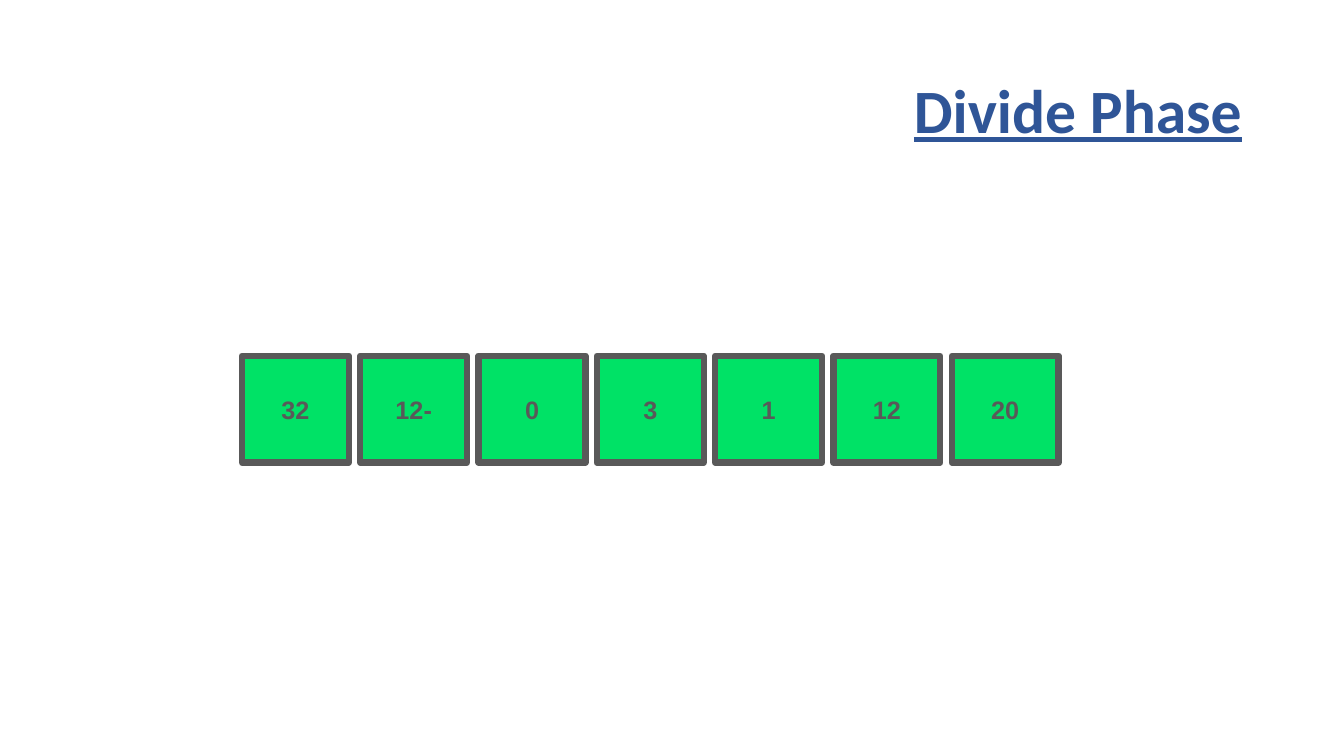
import pptx
import pptx.util
import pptx.dml.color
import pptx.enum.shapes
import pptx.enum.text
import pptx.oxml
import pptx.oxml.ns
from dataclasses import dataclass

Inches = pptx.util.Inches
Pt = pptx.util.Pt
RGB = pptx.dml.color.RGBColor.from_string
Align = pptx.enum.text.PP_ALIGN


@dataclass(frozen=True)
class Theme:
    """Colours, fonts and type sizes of the slide."""
    heading: str = "2F5597"
    cell: str = "00E266"
    ink: str = "595959"
    font: str = "Calibri"
    digit_font: str = "Arial"
    heading_size: int = 44
    value_size: int = 18


theme = Theme()


def write_rtl(frame, text, align, size, color):
    """Write one bold right-to-left run, centred vertically, and return it."""
    frame.word_wrap = True
    frame.vertical_anchor = pptx.enum.text.MSO_ANCHOR.MIDDLE
    paragraph = frame.paragraphs[0]
    paragraph.alignment = align
    paragraph._p.get_or_add_pPr().set("rtl", "1")
    run = paragraph.add_run()
    run.text = text
    run.font.name = theme.font
    run.font.size = Pt(size)
    run.font.bold = True
    run.font.color.rgb = RGB(color)
    # Digits in right-to-left text take the complex-script font.
    complex_font = pptx.oxml.parse_xml(
        f'<a:cs {pptx.oxml.ns.nsdecls("a")} typeface="{theme.digit_font}"/>')
    run.font._element.append(complex_font)
    return run


deck = pptx.Presentation()
deck.slide_width = Inches(13.33)
deck.slide_height = Inches(7.5)
slide = deck.slides.add_slide(deck.slide_layouts[6])

heading = slide.shapes.add_textbox(Inches(0.92), Inches(0.4), Inches(11.5), Inches(1.45))
heading_run = write_rtl(heading.text_frame, "Divide Phase", Align.RIGHT,
                        theme.heading_size, theme.heading)
heading_run.font.underline = True
heading.text_frame.paragraphs[0].line_spacing = 0.9

values = ["32", "-12", "0", "3", "1", "12", "20"]
first_left, last_left, row_top, cell_side = 2.4, 9.44, 3.53, 1.06
pitch = (last_left - first_left) / (len(values) - 1)

for index, value in enumerate(values):
    cell = slide.shapes.add_shape(
        pptx.enum.shapes.MSO_SHAPE.RECTANGLE,
        Inches(first_left + index * pitch), Inches(row_top),
        Inches(cell_side), Inches(cell_side))
    cell.shadow.inherit = False
    cell.fill.solid()
    cell.fill.fore_color.rgb = RGB(theme.cell)
    cell.line.color.rgb = RGB(theme.ink)
    cell.line.width = Pt(4.5)
    write_rtl(cell.text_frame, value, Align.CENTER, theme.value_size, theme.ink)

deck.save("out.pptx")
